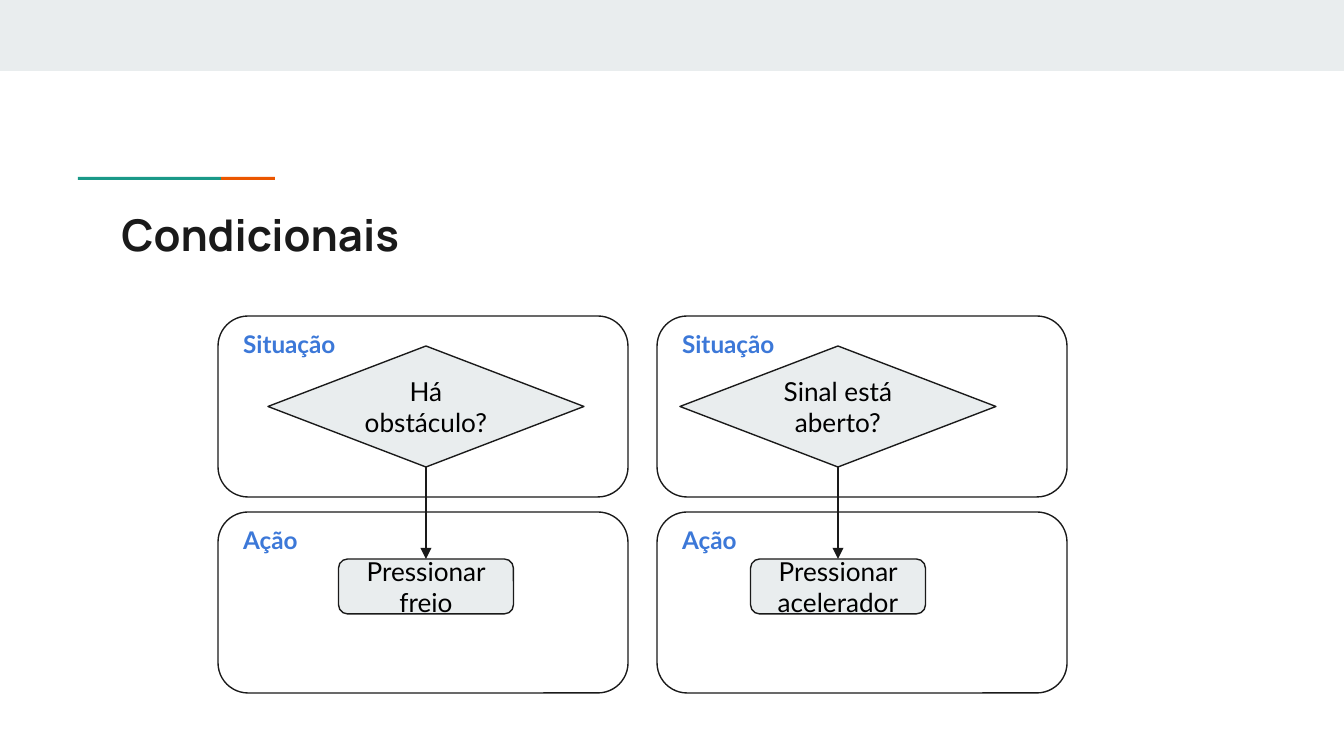
import pptx
import pptx.dml.color
import pptx.enum.shapes
import pptx.enum.text
import pptx.oxml.ns
import pptx.util
from lxml import etree

TITLE = "Condicionais"
ROWS = ("Situação", "Ação")
# panel left, flow centre, condition, action
COLUMNS = (
    (218, 426, "Há obstáculo?", "Pressionar freio"),
    (657, 838, "Sinal está aberto?", "Pressionar acelerador"),
)

THEME = {
    "band": "E9EDEE", "ink": "1A1A1A", "text": "000000", "label": "3C78D8",
    "teal": "1A9988", "orange": "EB5600",
    "title_font": "Manrope", "body_font": "Lato",
    "title_size": 23.4, "node_size": 14, "label_size": 13, "line": 0.75,
}

# Lengths in px
SLIDE_W, SLIDE_H = 1344, 756
PANEL_TOP, PANEL_W, PANEL_H, PANEL_PITCH = 316, 410, 181, 196
DIAMOND_TOP, DIAMOND_W, DIAMOND_H = 346, 316, 121
ACTION_TOP, ACTION_W, ACTION_H = 559, 175, 55
LABEL_W, LABEL_H, LABEL_INDENT = 129, 56, 12
ACCENTS = (("teal", 78, 143), ("orange", 221, 54))

SHAPE = pptx.enum.shapes.MSO_SHAPE
ALIGN = pptx.enum.text.PP_ALIGN
ANCHOR = pptx.enum.text.MSO_ANCHOR


def px(*lengths):
    return [pptx.util.Emu(round(n * 914400 / 134.4)) for n in lengths]


def color(name):
    return pptx.dml.color.RGBColor.from_string(THEME[name])


def write(shape, text, font, size, ink, bold=False, align=ALIGN.LEFT, anchor=ANCHOR.TOP):
    frame = shape.text_frame
    frame.text = text
    frame.word_wrap = True
    frame.auto_size = pptx.enum.text.MSO_AUTO_SIZE.NONE
    frame.vertical_anchor = anchor
    inset = pptx.util.Inches(0.1)
    frame.margin_left = frame.margin_right = inset
    frame.margin_top = frame.margin_bottom = inset
    paragraph = frame.paragraphs[0]
    paragraph.alignment = align
    paragraph.font.name = THEME[font]
    paragraph.font.size = pptx.util.Pt(THEME[size])
    paragraph.font.bold = bold
    paragraph.font.color.rgb = color(ink)


def add_shape(slide, kind, box, fill=None, outlined=True):
    shape = slide.shapes.add_shape(kind, *px(*box))
    shape.shadow.inherit = False
    if fill:
        shape.fill.solid()
        shape.fill.fore_color.rgb = color(fill)
    else:
        shape.fill.background()
    if outlined:
        shape.line.color.rgb = color("ink")
        shape.line.width = pptx.util.Pt(THEME["line"])
    else:
        shape.line.fill.background()
    return shape


def add_node(slide, kind, box, text):
    node = add_shape(slide, kind, box, "band")
    write(node, text, "body_font", "node_size", "text",
          align=ALIGN.CENTER, anchor=ANCHOR.MIDDLE)


def add_arrow(slide, x, top, bottom):
    arrow = slide.shapes.add_connector(
        pptx.enum.shapes.MSO_CONNECTOR.STRAIGHT, *px(x, top, x, bottom))
    arrow.line.color.rgb = color("ink")
    arrow.line.width = pptx.util.Pt(THEME["line"])
    qn = pptx.oxml.ns.qn
    etree.SubElement(arrow.line._get_or_add_ln(), qn("a:tailEnd"), type="triangle")
    etree.SubElement(arrow._element.spPr, qn("a:effectLst"))


def add_panel(slide, left, top, label):
    add_shape(slide, SHAPE.ROUNDED_RECTANGLE, (left, top, PANEL_W, PANEL_H))
    caption = slide.shapes.add_textbox(*px(left + LABEL_INDENT, top, LABEL_W, LABEL_H))
    write(caption, label, "body_font", "label_size", "label", bold=True)


def main():
    deck = pptx.Presentation()
    deck.slide_width, deck.slide_height = px(SLIDE_W, SLIDE_H)
    slide = deck.slides.add_slide(deck.slide_layouts[5])

    add_shape(slide, SHAPE.RECTANGLE, (0, 0, SLIDE_W, 71), "band", outlined=False)
    for accent, left, width in ACCENTS:
        add_shape(slide, SHAPE.RECTANGLE, (left, 177, width, 3), accent, outlined=False)

    title = slide.shapes.title
    title.left, title.top, title.width, title.height = px(108, 194, 1130, 79)
    write(title, TITLE, "title_font", "title_size", "ink", bold=True)

    for panel_left, centre, condition, action in COLUMNS:
        add_node(slide, SHAPE.DIAMOND,
                 (centre - DIAMOND_W / 2, DIAMOND_TOP, DIAMOND_W, DIAMOND_H), condition)
        add_node(slide, SHAPE.ROUNDED_RECTANGLE,
                 (centre - ACTION_W / 2, ACTION_TOP, ACTION_W, ACTION_H), action)
        add_arrow(slide, centre, DIAMOND_TOP + DIAMOND_H, ACTION_TOP)
        for row, label in enumerate(ROWS):
            add_panel(slide, panel_left, PANEL_TOP + row * PANEL_PITCH, label)

    deck.save("out.pptx")


if __name__ == "__main__":
    main()
